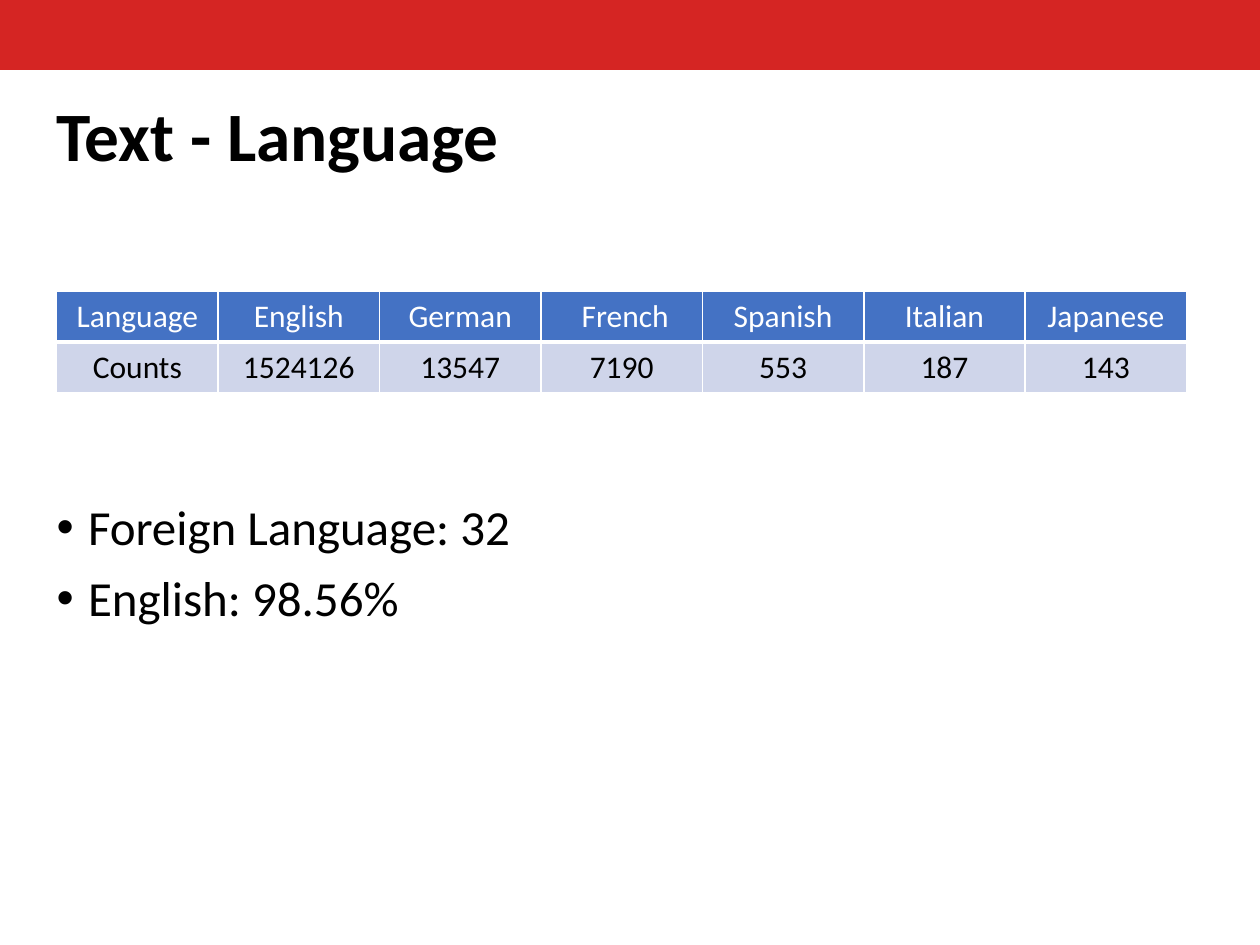
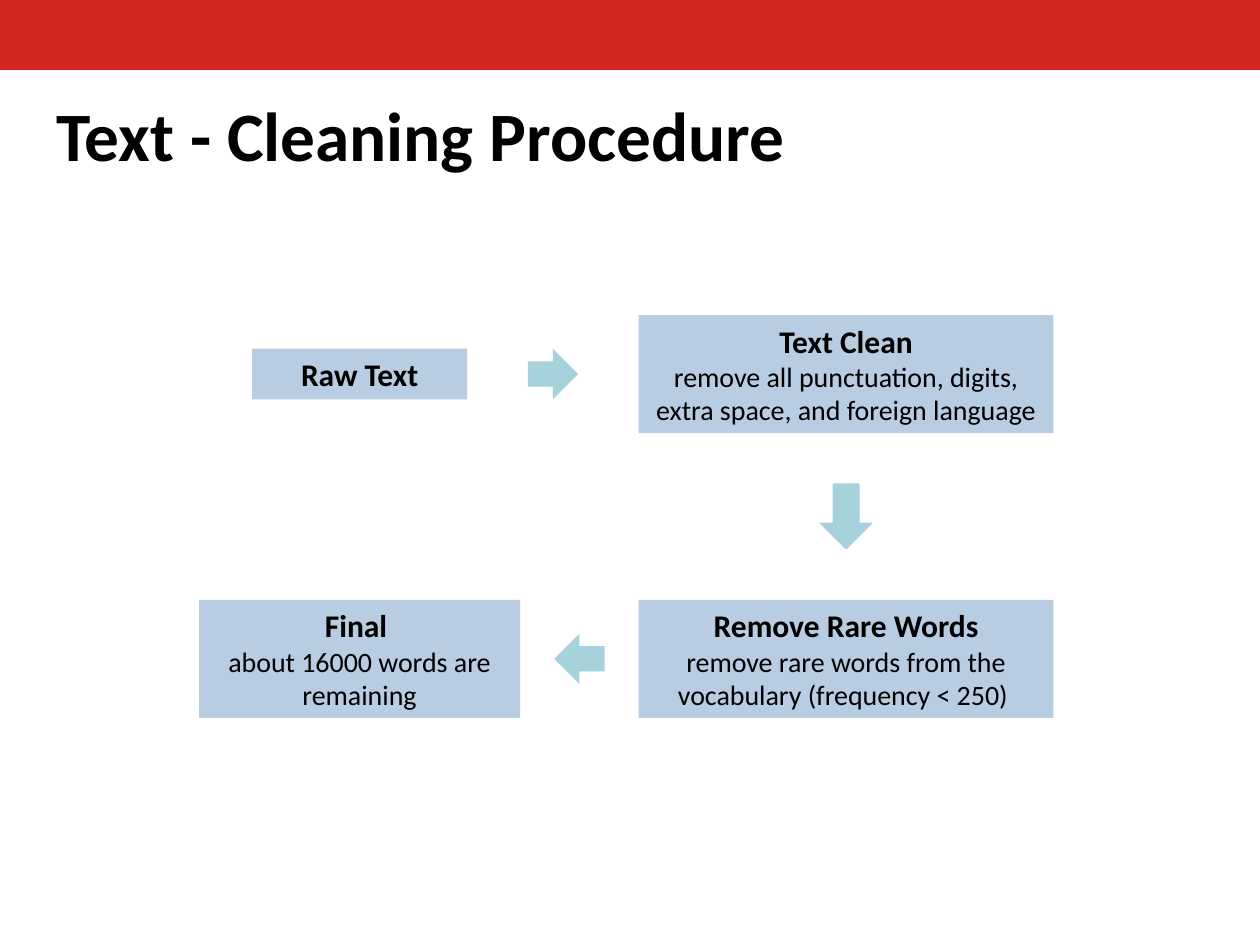
from dataclasses import dataclass

from lxml.etree import SubElement
from pptx import Presentation
from pptx.dml.color import RGBColor
from pptx.enum.shapes import MSO_SHAPE
from pptx.enum.text import MSO_ANCHOR, MSO_AUTO_SIZE, PP_ALIGN
from pptx.oxml.ns import qn
from pptx.util import Pt


@dataclass(frozen=True)
class Theme:
    font: str = "Calibri"
    black: str = "000000"
    white: str = "FFFFFF"
    band: str = "D52523"
    header: str = "4472C4"
    row: str = "CFD5EA"
    step: str = "B8CDE2"
    arrow: str = "A6D2DB"
    title_size: float = 39.6
    bullet_size: float = 28
    label_size: float = 18
    detail_size: float = 16


THEME = Theme()
PAGE_WIDTH, PAGE_HEIGHT = 720, 540
BAND_HEIGHT = 40
TITLE_BOX = (25.2, 54, 661, 51)
TABLE_BOX = (32.4, 166.3, 645.75, 57.6)
BULLET_BOX = (25.2, 284, 661, 90)
FLOW_BOX = (113.75, 180, 488.25, 230.25)

LANGUAGE_ROWS = [
    ("Language", "English", "German", " French", "Spanish", "Italian", "Japanese"),
    ("Counts", "1524126", "13547", "7190", "553", "187", "143"),
]
FACTS = ["Foreign Language: 32", "English: 98.56%"]


def apply(target, formats):
    for name, value in formats.items():
        setattr(target, name, value)


def write(para, text, size, color=THEME.black, bold=False, **formats):
    apply(para, formats)
    span = para.add_run()
    span.text = text
    apply(span.font, {"name": THEME.font, "size": Pt(size), "bold": bold})
    span.font.color.rgb = RGBColor.from_string(color)


def fill(target, color):
    target.fill.solid()
    target.fill.fore_color.rgb = RGBColor.from_string(color)


def add_block(page, kind, box, color, line_width=0):
    block = page.shapes.add_shape(kind, *map(Pt, box))
    block.shadow.inherit = False
    fill(block, color)
    if line_width:
        block.line.color.rgb = RGBColor.from_string(color)
        block.line.width = Pt(line_width)
    else:
        block.line.fill.background()
    return block


def add_page(deck, title):
    page = deck.slides.add_slide(deck.slide_layouts[5])
    add_block(page, MSO_SHAPE.RECTANGLE, (0, 0, PAGE_WIDTH, BAND_HEIGHT), THEME.band)
    holder = page.shapes.title
    apply(holder, dict(zip(("left", "top", "width", "height"), map(Pt, TITLE_BOX))))
    frame = holder.text_frame
    apply(frame, {"vertical_anchor": MSO_ANCHOR.MIDDLE, "word_wrap": True,
                  "auto_size": MSO_AUTO_SIZE.NONE})
    write(frame.paragraphs[0], title, THEME.title_size, bold=True,
          alignment=PP_ALIGN.LEFT, line_spacing=0.9)
    return page


def set_borders(cell, bottom):
    properties = cell._tc.get_or_add_tcPr()
    for side, width in {"lnL": 1, "lnR": 1, "lnT": bottom if bottom == 1 else 1,
                        "lnB": bottom}.items():
        line = SubElement(properties, qn(f"a:{side}"), w=str(Pt(width)))
        paint = SubElement(line, qn("a:solidFill"))
        SubElement(paint, qn("a:srgbClr"), val=THEME.white)


def add_language_table(page, box, rows):
    left, top, width, height = box
    table = page.shapes.add_table(len(rows), len(rows[0]), *map(Pt, box)).table
    for column in table.columns:
        column.width = Pt(width / len(rows[0]))
    styles = [(THEME.header, THEME.white, 3), (THEME.row, THEME.black, 1)]
    for index, (texts, (back, ink, bottom)) in enumerate(zip(rows, styles)):
        table.rows[index].height = Pt(height / len(rows))
        for cell, text in zip(table.rows[index].cells, texts):
            set_borders(cell, bottom)
            fill(cell, back)
            write(cell.text_frame.paragraphs[0], text, THEME.label_size, ink,
                  alignment=PP_ALIGN.CENTER)


def add_bullets(page, box, lines):
    frame = page.shapes.add_textbox(*map(Pt, box)).text_frame
    frame.word_wrap = True
    for index, text in enumerate(lines):
        para = frame.add_paragraph() if index else frame.paragraphs[0]
        write(para, text, THEME.bullet_size, line_spacing=0.9, space_after=Pt(10))
        properties = para._p.get_or_add_pPr()
        properties.set("marL", str(Pt(18)))
        properties.set("indent", str(Pt(-18)))
        SubElement(properties, qn("a:buFont"), typeface="Arial")
        SubElement(properties, qn("a:buChar"), char="•")


def add_step(page, center, size, heading, detail=""):
    (x, y), (width, height) = center, size
    box = (x - width / 2, y - height / 2, width, height)
    frame = add_block(page, MSO_SHAPE.RECTANGLE, box, THEME.step).text_frame
    apply(frame, {"word_wrap": True, "vertical_anchor": MSO_ANCHOR.MIDDLE})
    write(frame.paragraphs[0], heading, THEME.label_size, bold=True,
          alignment=PP_ALIGN.CENTER)
    if detail:
        write(frame.add_paragraph(), detail, THEME.detail_size,
              alignment=PP_ALIGN.CENTER)
    return box


def add_arrow(page, kind, start, end, size, line_width=0):
    """Centre an arrow in the gap between two points."""
    width, height = size
    x, y = ((a + b) / 2 for a, b in zip(start, end))
    add_block(page, kind, (x - width / 2, y - height / 2, width, height),
              THEME.arrow, line_width)


def add_cleaning_flow(page, box):
    left, top, width, height = box
    tall, wide, narrow = 67.5, 237, 183.5
    near, far = left + narrow / 2, left + width - wide / 2
    upper, lower = top + tall / 2, top + height - tall / 2
    raw_width = 123
    add_step(page, (near, upper), (raw_width, 29), "Raw Text")
    add_step(page, (far, upper), (wide, tall), "Text Clean",
             "remove all punctuation, digits, extra space, and foreign language")
    add_step(page, (far, lower), (wide, tall), "Remove Rare Words",
             "remove rare words from the vocabulary (frequency < 250) ")
    add_step(page, (near, lower), (narrow, tall), "Final ",
             "about 16000 words are remaining")

    far_edge = far - wide / 2
    add_arrow(page, MSO_SHAPE.RIGHT_ARROW, (near + raw_width / 2, upper),
              (far_edge, upper), (28.8, 28.8))
    add_arrow(page, MSO_SHAPE.DOWN_ARROW, (far, upper + tall / 2),
              (far, lower - tall / 2), (28.8, 36.7), line_width=1)
    add_arrow(page, MSO_SHAPE.LEFT_ARROW, (near + narrow / 2, lower),
              (far_edge, lower), (28.8, 28.8))


def main():
    deck = Presentation()
    apply(deck, {"slide_width": Pt(PAGE_WIDTH), "slide_height": Pt(PAGE_HEIGHT)})
    page = add_page(deck, "Text - Language")
    add_language_table(page, TABLE_BOX, LANGUAGE_ROWS)
    add_bullets(page, BULLET_BOX, FACTS)
    page = add_page(deck, "Text - Cleaning Procedure")
    add_cleaning_flow(page, FLOW_BOX)
    deck.save("out.pptx")


if __name__ == "__main__":
    main()
